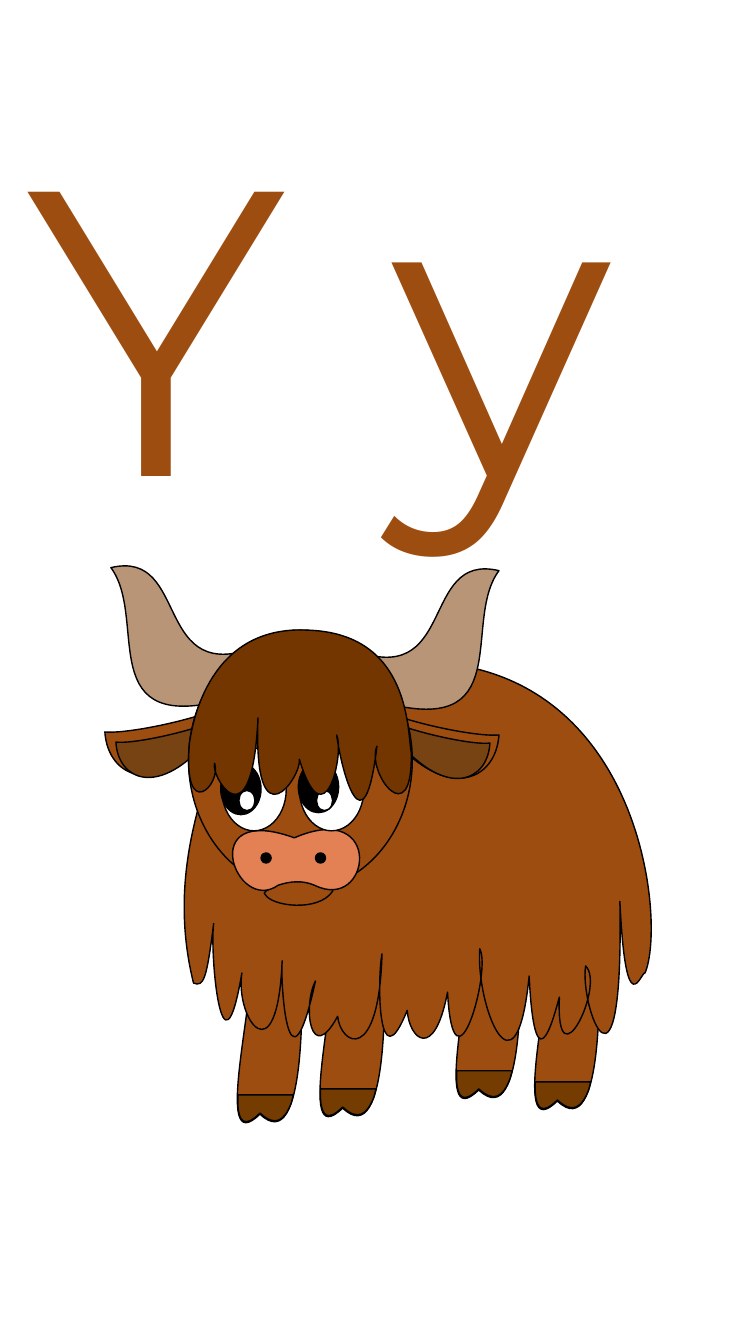
from pptx import Presentation
from pptx.util import Pt, Emu
from pptx.dml.color import RGBColor
from pptx.enum.shapes import MSO_SHAPE
from pptx.enum.text import MSO_AUTO_SIZE
from pptx.oxml import parse_xml
from pptx.oxml.ns import nsdecls, qn
from lxml.etree import SubElement

CELL = 9144
COLS, ROWS = 750, 1333
STEPS = 24
HUES = {
    "coat": "9D4D10", "hoof": "743C01", "horn": "B89577", "inner": "784312",
    "nose": "E38054", "fringe": "733600", "black": "000000", "white": "FFFFFF",
}

LEG = [(251, 926), (298, 926), (301, 983, 305, 1150, 258, 1105),
       (209, 1153, 256, 985, 251, 926)]
HOOF = [(236, 1086), (291, 1086), (289, 1094), (282, 1112, 273, 1118, 258, 1104),
        (243, 1119, 237, 1113, 236, 1096)]
EAR = [(104, 726), (122, 728, 184, 717, 225, 700), (216, 722),
       (157, 795, 107, 772, 104, 726)]
HORN = [(110, 563), (190, 544, 150, 685, 259, 640), (231, 692),
        (90, 733, 148, 614, 110, 563)]
INNER = [(115, 736), (130, 738, 180, 728, 214, 715), (207, 733),
         (158, 792, 117, 774, 115, 736)]
BODY = [(231, 700), (623, 531, 666, 903, 640, 965), (636, 963, 621, 1020, 615, 894),
        (619, 1114, 575, 1000, 581, 958), (601, 977, 551, 1079, 555, 989),
        (553, 994, 531, 1092, 525, 968), (512, 1099, 472, 997, 476, 941),
        (488, 963, 450, 1095, 444, 984), (431, 1053, 406, 1031, 404, 1002),
        (375, 1075, 374, 973, 379, 946), (376, 1056, 338, 1037, 335, 1008),
        (308, 1058, 300, 998, 313, 973), (285, 1101, 278, 969, 280, 953),
        (275, 1070, 233, 1010, 240, 965), (220, 1083, 208, 944, 212, 916),
        (205, 972, 202, 979, 192, 975), (165, 866, 203, 778, 231, 700)]
MOUTH = [(263, 887), (257, 885, 283, 873, 294, 873), (305, 872, 333, 881, 330, 884),
         (316, 905, 269, 899, 263, 887)]
NOSE = [(292, 831), (382, 792, 368, 906, 312, 878), (300, 873, 288, 874, 276, 878),
        (234, 908, 193, 795, 292, 831)]
FRINGE = [(213, 757), (220, 779, 181, 817, 188, 737), (191, 716, 208, 620, 305, 625),
          (408, 628, 404, 726, 408, 746), (410, 828, 363, 767, 374, 740),
          (361, 848, 339, 766, 334, 729), (342, 747, 322, 836, 297, 753),
          (300, 769, 251, 842, 256, 712), (250, 842, 208, 768, 213, 757)]

deck = Presentation()
deck.slide_width, deck.slide_height = Emu(COLS * CELL), Emu(ROWS * CELL)
slide = deck.slides.add_slide(deck.slide_layouts[6])

box = slide.shapes.add_textbox(*[Emu(n * CELL) for n in (17, 65, 783, 498)])
frame = box.text_frame
frame.word_wrap = True
frame.auto_size = MSO_AUTO_SIZE.SHAPE_TO_FIT_TEXT
run = frame.paragraphs[0].add_run()
run.text = "Y y"
run.font.name, run.font.size = "Montserrat", Pt(290)
run.font.color.rgb = RGBColor.from_string(HUES["coat"])
run._r.get_or_add_rPr().insert(0, parse_xml(
    f'<a:ln {nsdecls("a")} w="9525"><a:solidFill>'
    f'<a:srgbClr val="{HUES["black"]}"/></a:solidFill></a:ln>'))

yak = slide.shapes.add_group_shape().shapes


def paint(part, hue):
    part.shadow.inherit = False
    part.fill.solid()
    part.fill.fore_color.rgb = RGBColor.from_string(HUES[hue])
    part.line.color.rgb = RGBColor.from_string(HUES["black"])
    part.line.width = Pt(1)


def trace(curve, hue, dx=0, dy=0, sign=1):
    steps = [[((sign * x + dx) * CELL, (y + dy) * CELL)
              for x, y in zip(step[::2], step[1::2])] for step in curve]
    dots = list(steps[0])
    for step in steps[1:]:
        ends = [dots[-1], *step]
        for i in range(1, STEPS + 1) if len(step) == 3 else ():
            t = i / STEPS
            mix = ((1 - t) ** 3, 3 * t * (1 - t) ** 2, 3 * t * t * (1 - t), t ** 3)
            dots.append(tuple(sum(m * e[k] for m, e in zip(mix, ends)) for k in (0, 1)))
        if len(step) == 1:
            dots += step
    pen = yak.build_freeform(*dots[0])
    pen.add_line_segments(dots[1:], close=True)
    part = pen.convert_to_shape()
    trail = part._element.xpath(".//a:path")[0]
    for old in list(trail):
        trail.remove(old)
    for n, step in enumerate(steps):
        tag = "a:moveTo" if n == 0 else "a:lnTo" if len(step) == 1 else "a:cubicBezTo"
        move = SubElement(trail, qn(tag))
        for x, y in step:
            SubElement(move, qn("a:pt"), x=str(round(x - part.left)),
                       y=str(round(y - part.top)))
    SubElement(trail, qn("a:close"))
    paint(part, hue)


for dx, dy in ((0, 0), (82, -6), (295, -13), (217, -24)):
    trace(LEG, "coat", dx, dy)
    trace(HOOF, "hoof", dx, dy)

trace(EAR, "coat")
trace(HORN, "horn")
trace(BODY, "coat")
trace(EAR, "coat", 599, 3, -1)
trace(HORN, "horn", 605, 3, -1)
trace(INNER, "inner", 601, 1, -1)
trace(INNER, "inner")

head = [(187, 625, 222, 258, "coat")]
spots = [(x, 846, 10, 10, "black") for x in (259, 313)]
for x, y in ((297, 755), (220, 757)):
    spots += [(x, 742, 64, 82, "white"), (x - 1, y, 40, 51, "black"),
              (x + 17, 784, 16, 20, "white")]

for group in (head, spots):
    for *area, hue in group:
        paint(yak.add_shape(MSO_SHAPE.OVAL, *[Emu(n * CELL) for n in area]), hue)
    if group is head:
        trace(MOUTH, "coat")
        trace(NOSE, "nose")
trace(FRINGE, "fringe")

deck.save("out.pptx")
